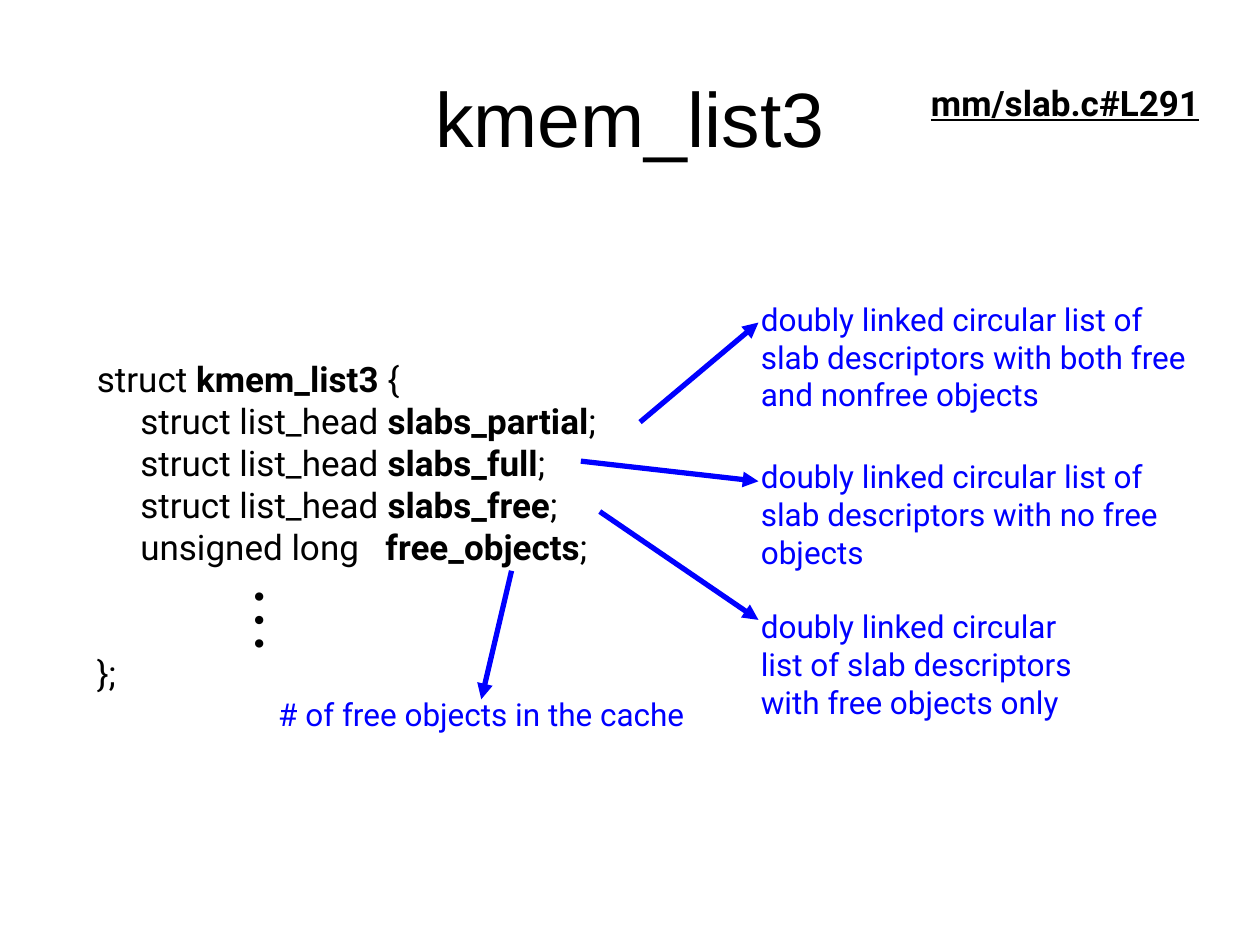
from lxml import etree
from pptx import Presentation
from pptx.dml.color import RGBColor
from pptx.enum.shapes import MSO_CONNECTOR
from pptx.enum.text import MSO_ANCHOR, MSO_AUTO_SIZE, PP_ALIGN
from pptx.oxml.ns import qn
from pptx.util import Inches, Pt

BLACK = RGBColor(0, 0, 0)
BLUE = RGBColor(0, 0, 255)
STRAIGHT = MSO_CONNECTOR.STRAIGHT
TOP, MIDDLE = MSO_ANCHOR.TOP, MSO_ANCHOR.MIDDLE
CENTER = PP_ALIGN.CENTER
FIT_SHAPE = MSO_AUTO_SIZE.SHAPE_TO_FIT_TEXT

FIELDS = [
    ("     struct list_head ", "slabs_partial"),
    ("     struct list_head ", "slabs_full"),
    ("     struct list_head ", "slabs_free"),
    ("     unsigned long   ", "free_objects"),
]
LIST_NOTES = [
    ("doubly linked circular list of slab descriptors with both free and nonfree objects",
     (5.94, 2.33, 3.7, 1), (5.08, 3.35), (6.02, 2.56)),
    ("doubly linked circular list of slab descriptors with no free objects",
     (5.94, 3.58, 3.39, 1), (4.61, 3.66), (6.02, 3.82)),
    ("doubly linked circular list of slab descriptors with free objects only",
     (5.94, 4.77, 2.84, 1), (4.76, 4.06), (6.02, 4.92)),
]


def add_text_box(page, box, anchor=TOP, wrap=True):
    shape = page.shapes.add_textbox(*map(Inches, box))
    frame = shape.text_frame
    frame.word_wrap = wrap
    frame.auto_size = FIT_SHAPE
    frame.vertical_anchor = anchor
    return frame


def add_run(para, text, size, color=BLACK, font="Roboto", bold=False, underline=False):
    span = para.add_run()
    span.text = text
    span.font.name = font
    span.font.size = Pt(size)
    span.font.bold = bold
    span.font.underline = underline
    span.font.color.rgb = color


def add_arrow(page, start, end):
    arrow = page.shapes.add_connector(STRAIGHT, *map(Inches, start + end))
    arrow.line.color.rgb = BLUE
    arrow.line.width = Pt(3)
    etree.SubElement(arrow.line._get_or_add_ln(), qn("a:tailEnd"), type="triangle")
    etree.SubElement(arrow._element.spPr, qn("a:effectLst"))


def add_title(page, box):
    frame = add_text_box(page, box, MIDDLE)
    frame.auto_size = MSO_AUTO_SIZE.NONE
    para = frame.paragraphs[0]
    para.alignment = CENTER
    add_run(para, "kmem_list3", 44, font="Arial")


def add_source_reference(page, box):
    frame = add_text_box(page, box, wrap=False)
    add_run(frame.paragraphs[0], "mm/slab.c#L291", 20, bold=True, underline=True)


def add_struct(page, box):
    frame = add_text_box(page, box)
    lines = [("struct ", "kmem_list3", " {")]
    lines += [(kind, name, ";") for kind, name in FIELDS]
    for index, (before, name, after) in enumerate(lines):
        para = frame.add_paragraph() if index else frame.paragraphs[0]
        add_run(para, before, 20)
        add_run(para, name, 20, bold=True)
        add_run(para, after, 20)
    closing = frame.add_paragraph()
    closing.space_before = Pt(48)
    add_run(closing, "};", 20)


def add_vertical_dots(page, box):
    frame = add_text_box(page, box)
    frame.margin_left = frame.margin_right = Inches(0.05)
    frame.margin_top = frame.margin_bottom = Inches(0.1)
    frame._txBody.bodyPr.set("vert", "eaVert")
    add_run(frame.paragraphs[0], "…", 40, font="Times New Roman")


def add_note(page, text, box, start, end, wrap=True):
    frame = add_text_box(page, box, MIDDLE, wrap)
    add_run(frame.paragraphs[0], text, 18, BLUE)
    add_arrow(page, start, end)


def main():
    deck = Presentation()
    deck.slide_width, deck.slide_height = Inches(10), Inches(7.5)
    page = deck.slides.add_slide(deck.slide_layouts[6])
    add_title(page, (0.5, 0.3, 9, 1.25))
    add_source_reference(page, (7.29, 0.6, 2.45, 0.44))
    add_struct(page, (0.67, 2.79, 4.65, 2.77))
    add_vertical_dots(page, (1.78, 4.55, 0.86, 0.93))
    for text, box, start, end in LIST_NOTES:
        add_note(page, text, box, start, end)
    add_note(page, "# of free objects in the cache", (2.11, 5.47, 3.58, 0.4),
             (4.06, 4.53), (3.82, 5.55), wrap=False)
    deck.save("out.pptx")


if __name__ == "__main__":
    main()
